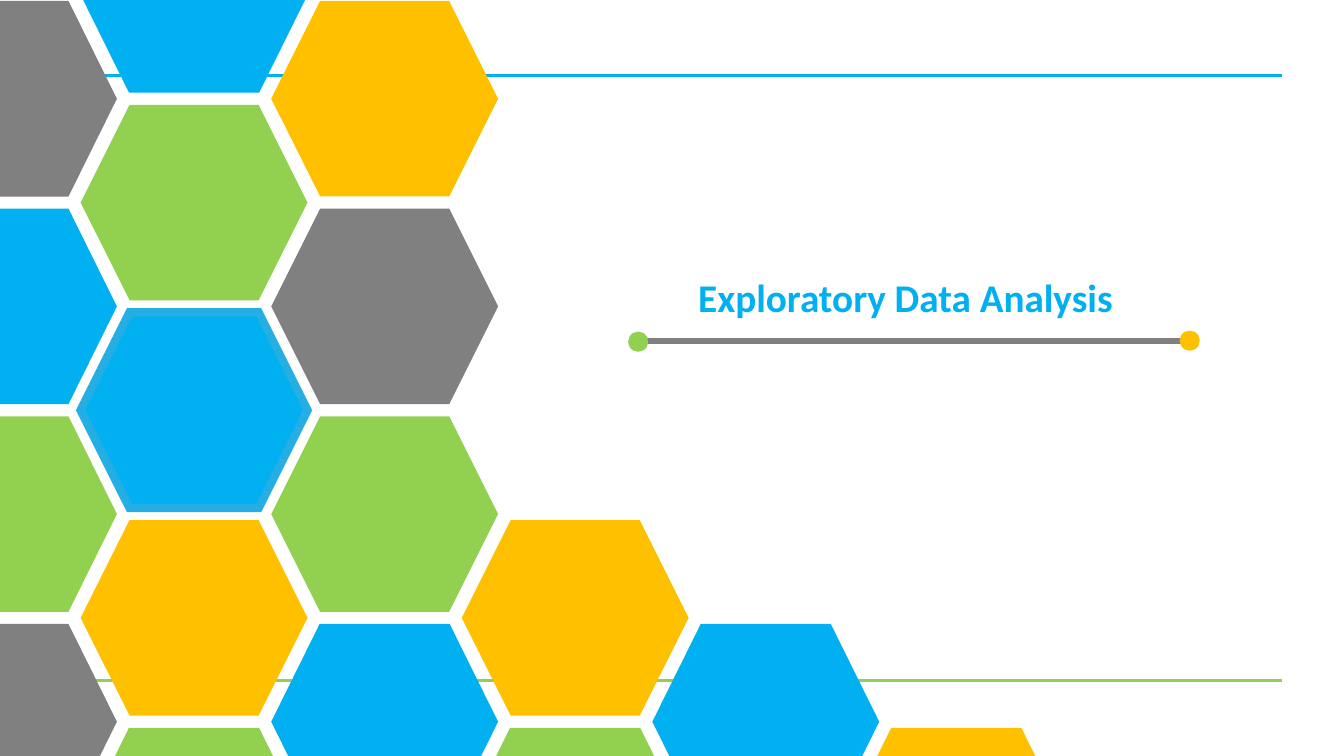
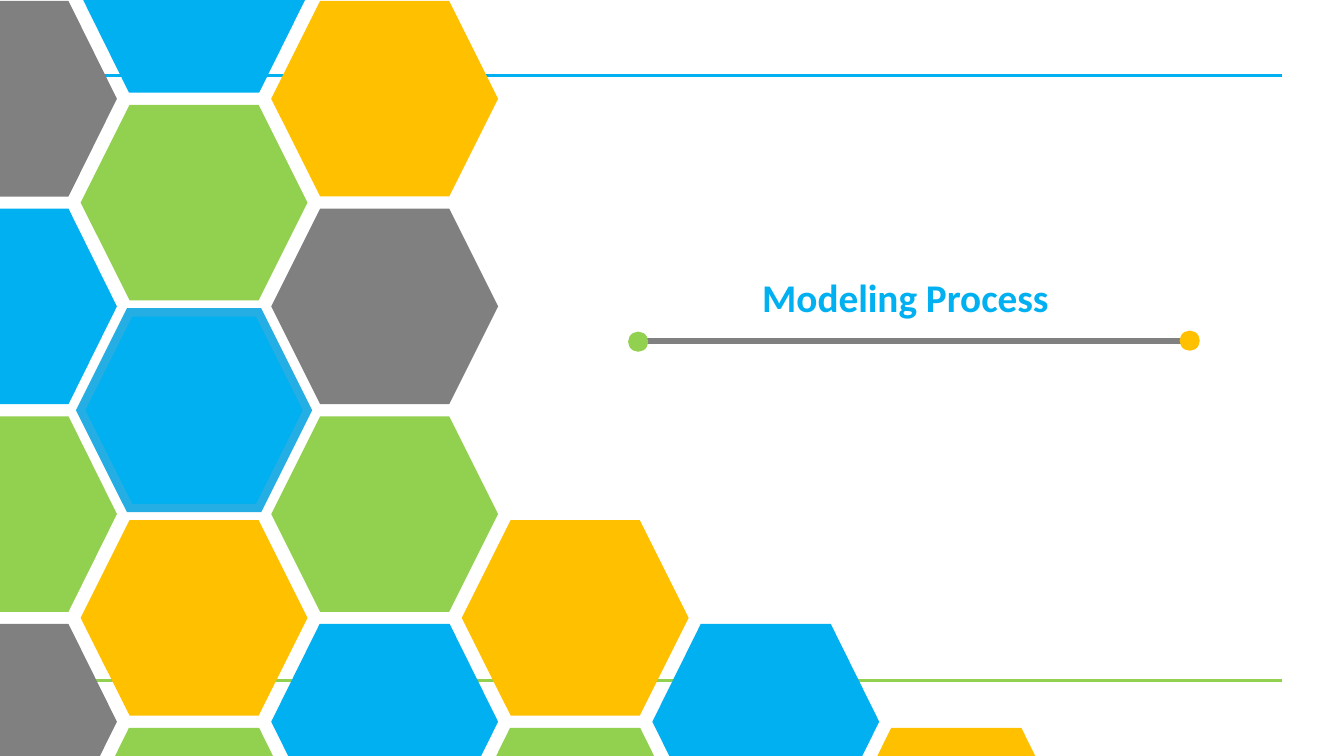
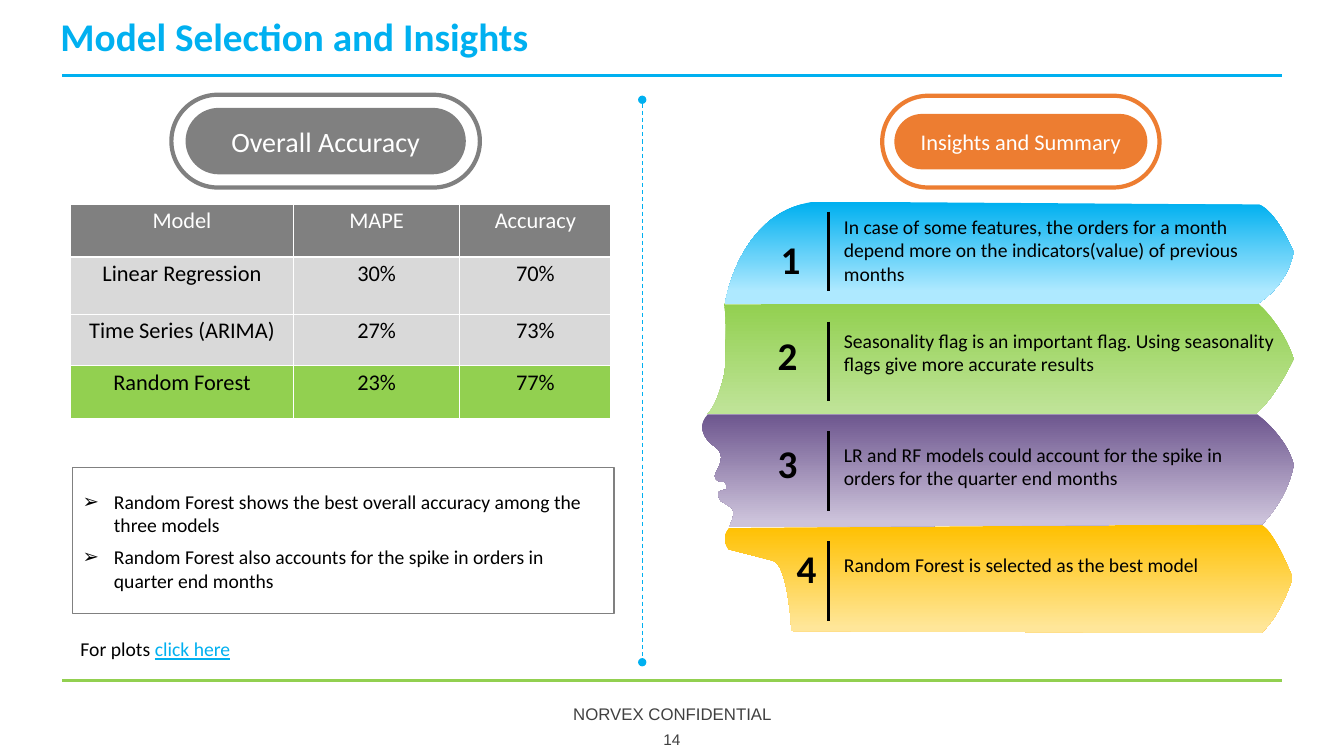
from dataclasses import dataclass
from typing import NamedTuple

from lxml.etree import SubElement
from pptx import Presentation
from pptx.dml.color import RGBColor
from pptx.enum.dml import MSO_LINE
from pptx.enum.shapes import MSO_CONNECTOR, MSO_SHAPE
from pptx.enum.text import MSO_ANCHOR, MSO_AUTO_SIZE, PP_ALIGN
from pptx.oxml.ns import qn
from pptx.util import Inches, Pt

WIDTH, HEIGHT = 13.33, 7.5


@dataclass(frozen=True)
class Theme:
    blue: str = "00B0F0"
    edge_blue: str = "24AEE4"
    pale_blue: str = "AEE9FF"
    green: str = "92D050"
    pale_green: str = "BEE396"
    amber: str = "FFC000"
    pale_amber: str = "FFE699"
    purple: str = "6E578F"
    pale_purple: str = "CDC3DB"
    orange: str = "ED7D31"
    gray: str = "808080"
    light_gray: str = "D9D9D9"
    dark_gray: str = "404040"
    black: str = "000000"
    white: str = "FFFFFF"
    font: str = "Calibri"
    footer_font: str = "Arial"
    title: int = 28
    heading: int = 20
    label: int = 16
    body: int = 14
    footer: int = 12
    page_number: int = 11


THEME = Theme()


class Box(NamedTuple):
    left: float
    top: float
    width: float
    height: float

    def lengths(self):
        return [Inches(value) for value in self]

    def inset(self, across, down):
        return Box(self.left + across, self.top + down,
                   self.width - 2 * across, self.height - 2 * down)


# Honeycomb: for each column, its first row and the colours downwards
TILE_WIDTH, TILE_HEIGHT, TILE_CORNER = 2.25, 1.94, 0.48
COLUMN_START, COLUMN_PITCH, ROW_PITCH = -1.09, 1.89, 2.06
EVEN_START, ODD_START = 0.01, -1.02
HONEYCOMB = [
    (0, [THEME.gray, THEME.blue, THEME.green, THEME.gray]),
    (0, [THEME.blue, THEME.green, THEME.blue, THEME.amber, THEME.green]),
    (0, [THEME.amber, THEME.gray, THEME.green, THEME.blue]),
    (3, [THEME.amber, THEME.green]),
    (3, [THEME.blue]),
    (4, [THEME.amber]),
]
EDGED_TILE = (1, 2)

ACCURACY = [
    ("Model", "MAPE", "Accuracy"),
    ("Linear Regression", "30%", "70%"),
    ("Time Series (ARIMA)", "27%", "73%"),
    ("Random Forest", "23%", "77%"),
]
FINDINGS = [
    "Random Forest shows the best overall accuracy among the three models",
    "Random Forest also accounts for the spike in orders in quarter end months",
]


class Insight(NamedTuple):
    text: str
    text_box: Box
    number_box: Box
    colors: tuple
    fade_end: float
    start: tuple
    outline: list  # pairs are line ends, sixes are cubic curves


def text_area(top, height):
    return Box(8.37, top, 4.3, height)


def number_area(left, top):
    return Box(left, top, 0.28, 0.66)


DIVIDER_TOP, DIVIDER_HEIGHT, DIVIDER_PITCH = 2.1, 0.79, 1.09
INSIGHTS = [
    Insight("In case of some features, the orders for a month depend more on "
            "the indicators(value) of previous months",
            text_area(2.13, 0.71), number_area(7.7, 2.24),
            (THEME.blue, THEME.pale_blue), 0.87, (7.19, 3.02),
            [(7.19, 3.02, 7.32, 2.1, 8.08, 2), (12.49, 2.03),
             (12.49, 2.03, 12.64, 2.07, 12.83, 2.5),
             (12.83, 2.5, 12.79, 2.82, 12.46, 3.02)]),
    Insight("Seasonality flag is an important flag. Using seasonality flags "
            "give more accurate results",
            text_area(3.26, 0.47), number_area(7.67, 3.19),
            (THEME.green, THEME.pale_green), 0.95, (7.01, 4.11),
            [(7.01, 4.11, 7.11, 4.06, 7.19, 3.68),
             (7.19, 3.68, 7.21, 3.19, 7.19, 3.08),
             (7.17, 2.96, 7.19, 3.02, 7.19, 3.02), (12.47, 3),
             (12.47, 3, 12.72, 3.22, 12.83, 3.56),
             (12.83, 3.56, 12.65, 3.95, 12.45, 4.11)]),
    Insight("LR and RF models could account for the spike in orders for the "
            "quarter end months",
            text_area(4.39, 0.47), number_area(7.67, 4.26),
            (THEME.purple, THEME.pale_purple), 0.95, (7.23, 5.23),
            [(7.23, 5.23, 7.33, 5.06, 7.23, 5.02), (7.15, 4.97),
             (7.15, 4.97, 7.06, 4.86, 7.2, 4.86),
             (7.2, 4.86, 7.23, 4.76, 7.15, 4.78),
             (7.15, 4.78, 7.04, 4.77, 7.12, 4.65),
             (7.19, 4.52, 7.13, 4.46, 7.09, 4.43),
             (7.05, 4.41, 6.88, 4.27, 7.02, 4.11), (12.47, 4.11),
             (12.47, 4.11, 12.76, 4.33, 12.83, 4.61),
             (12.83, 4.61, 12.8, 4.9, 12.52, 5.2)]),
    Insight("Random Forest is selected as the best model",
            text_area(5.49, 0.24), number_area(7.86, 5.3),
            (THEME.amber, THEME.pale_amber), 0.95, (7.85, 6.26),
            [(7.85, 6.26, 7.82, 5.59, 7.66, 5.56), (7.23, 5.45),
             (7.23, 5.45, 7.14, 5.35, 7.23, 5.24), (12.49, 5.2),
             (12.49, 5.2, 12.59, 5.17, 12.82, 5.73),
             (12.82, 5.73, 12.72, 6.08, 12.51, 6.28)]),
]


# Basic elements
def rgb(color):
    return RGBColor.from_string(color)


def style_span(span, size, color=THEME.black, bold=False, font=THEME.font):
    span.font.name, span.font.size, span.font.bold = font, Pt(size), bold
    span.font.color.rgb = rgb(color)


def style_text(frame, size, color=THEME.black, bold=False, font=THEME.font,
               align=PP_ALIGN.LEFT):
    for para in frame.paragraphs:
        para.alignment = align
        for span in para.runs:
            style_span(span, size, color, bold, font)


def set_frame(frame, anchor, margins=None):
    frame.word_wrap = True
    frame.auto_size = MSO_AUTO_SIZE.NONE
    frame.vertical_anchor = anchor
    if margins is not None:
        frame.margin_left = frame.margin_right = Inches(margins)
        frame.margin_top = frame.margin_bottom = Inches(margins)


def space_around(para):
    para.space_before = para.space_after = Pt(3)


def add_text(page, box, text, size, anchor=MSO_ANCHOR.TOP, margins=None, **look):
    frame = page.shapes.add_textbox(*box.lengths()).text_frame
    set_frame(frame, anchor, margins)
    frame.text = text
    style_text(frame, size, **look)
    return frame


def paint(shape, fill=None, line=None, weight=1):
    shape.shadow.inherit = False
    if fill:
        shape.fill.solid()
        shape.fill.fore_color.rgb = rgb(fill)
    else:
        shape.fill.background()
    if line:
        shape.line.color.rgb = rgb(line)
        shape.line.width = Pt(weight)
        SubElement(shape.element.spPr.find(qn("a:ln")), qn("a:miter"), lim="800000")
    else:
        shape.line.fill.background()


def add_preset(page, kind, box, fill=None, line=None, weight=1):
    shape = page.shapes.add_shape(kind, *box.lengths())
    paint(shape, fill, line, weight)
    return shape


def add_line(page, start, end, color, weight):
    ends = [Inches(value) for value in (*start, *end)]
    line = page.shapes.add_connector(MSO_CONNECTOR.STRAIGHT, *ends)
    line.line.color.rgb = rgb(color)
    line.line.width = Pt(weight)
    SubElement(line.element.spPr, qn("a:effectLst"))
    return line


def add_outline(page, start, parts):
    """Draw straight parts, then bend those that carry two control points."""
    builder = page.shapes.build_freeform(Inches(start[0]), Inches(start[1]))
    builder.add_line_segments([(Inches(part[-2]), Inches(part[-1])) for part in parts],
                              close=True)
    shape = builder.convert_to_shape()
    shape.shadow.inherit = False
    segments = list(shape.element.iter(qn("a:lnTo")))
    for segment, part in zip(segments, parts):
        if len(part) == 6:
            curve = SubElement(segment.getparent(), qn("a:cubicBezTo"))
            for across, down in zip(part[::2], part[1::2]):
                SubElement(curve, qn("a:pt"), x=str(Inches(across) - shape.left),
                           y=str(Inches(down) - shape.top))
            segment.getparent().replace(segment, curve)
    return shape


def set_title(page, box, text, anchor, align, margins=None):
    title = page.shapes.title
    title.left, title.top, title.width, title.height = box.lengths()
    frame = title.text_frame
    set_frame(frame, anchor, margins)
    frame.text = text
    frame.paragraphs[0].line_spacing = 0.9 if anchor == MSO_ANCHOR.BOTTOM else 1.0
    style_text(frame, THEME.title, THEME.blue, bold=True, align=align)


# Lines shared by every slide
def add_master_lines(deck, page):
    for top, color in ((6.75, THEME.green), (0.75, THEME.blue)):
        line = add_line(page, (0.62, top), (12.72, top), color, 2.25)
        deck.slide_master.shapes.element.append(line.element)


# Section slides
def clip(points, axis, limit, sign):
    """Keep the part of a polygon where sign * coordinate <= sign * limit."""
    kept = []
    for before, after in zip(points[-1:] + points[:-1], points):
        was_in = sign * before[axis] <= sign * limit
        is_in = sign * after[axis] <= sign * limit
        if was_in != is_in:
            share = (limit - before[axis]) / (after[axis] - before[axis])
            kept.append(tuple(a + share * (b - a) for a, b in zip(before, after)))
        if is_in:
            kept.append(after)
    return kept


def add_tile(page, box, color, edge):
    right, bottom = box.left + box.width, box.top + box.height
    if box.left >= 0 and box.top >= 0 and bottom <= HEIGHT:
        add_preset(page, MSO_SHAPE.HEXAGON, box, color, edge, 6)
        return
    middle = box.top + box.height / 2
    inner_left, inner_right = box.left + TILE_CORNER, right - TILE_CORNER
    points = [(inner_left, box.top), (inner_right, box.top), (right, middle),
              (inner_right, bottom), (inner_left, bottom), (box.left, middle)]
    for axis, limit, sign in ((0, 0, -1), (1, 0, -1), (1, HEIGHT, 1)):
        points = clip(points, axis, limit, sign)
    paint(add_outline(page, points[0], points[1:]), color)


def add_honeycomb(page):
    for column, (first_row, colors) in enumerate(HONEYCOMB):
        start = ODD_START if column % 2 else EVEN_START
        for row, color in enumerate(colors, first_row):
            box = Box(COLUMN_START + column * COLUMN_PITCH, start + row * ROW_PITCH,
                      TILE_WIDTH, TILE_HEIGHT)
            edge = THEME.edge_blue if (column, row) == EDGED_TILE else None
            add_tile(page, box, color, edge)


def add_section(deck, title):
    page = deck.slides.add_slide(deck.slide_layouts[5])
    set_title(page, Box(6.18, 2.71, 5.6, 0.57), title, MSO_ANCHOR.TOP,
              PP_ALIGN.CENTER, margins=0)
    add_honeycomb(page)
    add_line(page, (6.24, 3.38), (11.84, 3.38), THEME.gray, 4.5)
    for left, top, color in ((6.23, 3.29, THEME.green), (11.7, 3.28, THEME.amber)):
        add_preset(page, MSO_SHAPE.OVAL, Box(left, top, 0.2, 0.2), color)
    return page


# Parts of the results slide
def add_pill(page, box, gap, color, text, size):
    ring = add_preset(page, MSO_SHAPE.ROUNDED_RECTANGLE, box, THEME.white, color, 3)
    pill = add_preset(page, MSO_SHAPE.ROUNDED_RECTANGLE, box.inset(*gap), color)
    for shape in (ring, pill):
        shape.adjustments[0] = 0.5
    set_frame(pill.text_frame, MSO_ANCHOR.MIDDLE)
    pill.text_frame.text = text
    style_text(pill.text_frame, size, THEME.white, align=PP_ALIGN.CENTER)


def add_accuracy_table(page):
    box = Box(0.7, 2.03, 5.36, 2.11)
    table = page.shapes.add_table(len(ACCURACY), 3, *box.lengths()).table
    table.horz_banding = False
    for column, width in zip(table.columns, (2.21, 1.65, 1.5)):
        column.width = Inches(width)
    for row, height in zip(table.rows, (0.52, 0.57, 0.51, 0.52)):
        row.height = Inches(height)
    fills = (THEME.gray, THEME.light_gray, THEME.light_gray, THEME.green)
    for row, (texts, fill) in enumerate(zip(ACCURACY, fills)):
        for column, text in enumerate(texts):
            cell = table.cell(row, column)
            cell.margin_left = cell.margin_right = Inches(0.05)
            cell.margin_top = cell.margin_bottom = Inches(0.03)
            cell.fill.solid()
            cell.fill.fore_color.rgb = rgb(fill)
            cell.text_frame.text = text
            style_text(cell.text_frame, THEME.label,
                       THEME.black if row else THEME.white, align=PP_ALIGN.CENTER)


def add_findings(page):
    body = page.placeholders[1]
    body.left, body.top, body.width, body.height = Box(0.72, 4.64, 5.37, 1.45).lengths()
    body.line.color.rgb = rgb(THEME.gray)
    body.line.width = Pt(0.75)
    frame = body.text_frame
    set_frame(frame, MSO_ANCHOR.MIDDLE)
    frame.text = "\n".join(FINDINGS)
    style_text(frame, THEME.body)
    for para in frame.paragraphs:
        space_around(para)
        properties = para._p.get_or_add_pPr()
        properties.set("marL", str(Inches(0.31)))
        properties.set("indent", str(-Inches(0.31)))
        SubElement(properties, qn("a:buChar"), char="➢")


def add_plots_note(page):
    frame = add_text(page, Box(0.7, 6.27, 5.36, 0.3), "For plots ", THEME.body)
    para = frame.paragraphs[0]
    space_around(para)
    span = para.add_run()
    span.text = "click here"
    style_span(span, THEME.body, THEME.blue)
    span.font.underline = True


def add_separator(page):
    line = add_line(page, (6.37, 0.99), (6.37, 6.57), THEME.blue, 0.75)
    line.line.dash_style = MSO_LINE.DASH
    stroke = line.element.spPr.find(qn("a:ln"))
    for end in ("a:headEnd", "a:tailEnd"):
        SubElement(stroke, qn(end), type="oval")


def add_insight(page, index, insight):
    band = add_outline(page, insight.start, insight.outline)
    band.line.fill.background()
    band.fill.gradient()
    band.fill.gradient_angle = 270
    places = (0.01, insight.fade_end)
    for stop, color, place in zip(band.fill.gradient_stops, insight.colors, places):
        stop.color.rgb = rgb(color)
        stop.position = place
    number = add_preset(page, MSO_SHAPE.OVAL, insight.number_box).text_frame
    set_frame(number, MSO_ANCHOR.MIDDLE, 0)
    number.word_wrap = False
    number.text = str(index + 1)
    style_text(number, THEME.title, bold=True, align=PP_ALIGN.CENTER)
    top = DIVIDER_TOP + index * DIVIDER_PITCH
    add_line(page, (8.22, top), (8.22, top + DIVIDER_HEIGHT), THEME.black, 2.25)
    frame = add_text(page, insight.text_box, insight.text, THEME.body, margins=0)
    space_around(frame.paragraphs[0])


def add_footer(page):
    for box, text, size in (
            (Box(4.42, 6.93, 4.5, 0.3), "NORVEX CONFIDENTIAL", THEME.footer),
            (Box(6.12, 7.21, 1.09, 0.25), "14", THEME.page_number)):
        add_text(page, box, text, size, MSO_ANCHOR.MIDDLE, color=THEME.dark_gray,
                 font=THEME.footer_font, align=PP_ALIGN.CENTER)


def add_results(deck):
    page = deck.slides.add_slide(deck.slide_layouts[1])
    set_title(page, Box(0.5, 0.05, 11.74, 0.6), "Model Selection and Insights",
              MSO_ANCHOR.BOTTOM, PP_ALIGN.LEFT)
    add_accuracy_table(page)
    add_pill(page, Box(1.7, 0.94, 3.06, 0.92), (0.14, 0.13), THEME.gray,
             "Overall Accuracy", THEME.heading)
    add_findings(page)
    add_plots_note(page)
    add_separator(page)
    # Lower bands first, so that each band overlaps the one below it
    for index, insight in reversed(list(enumerate(INSIGHTS))):
        add_insight(page, index, insight)
    add_pill(page, Box(8.75, 0.95, 2.75, 0.91), (0.12, 0.18), THEME.orange,
             "Insights and Summary", THEME.label)
    add_footer(page)


def main():
    deck = Presentation()
    deck.slide_width, deck.slide_height = Inches(WIDTH), Inches(HEIGHT)
    first_page = add_section(deck, "Exploratory Data Analysis")
    add_master_lines(deck, first_page)
    add_section(deck, "Modeling Process")
    add_results(deck)
    deck.save("out.pptx")


if __name__ == "__main__":
    main()
